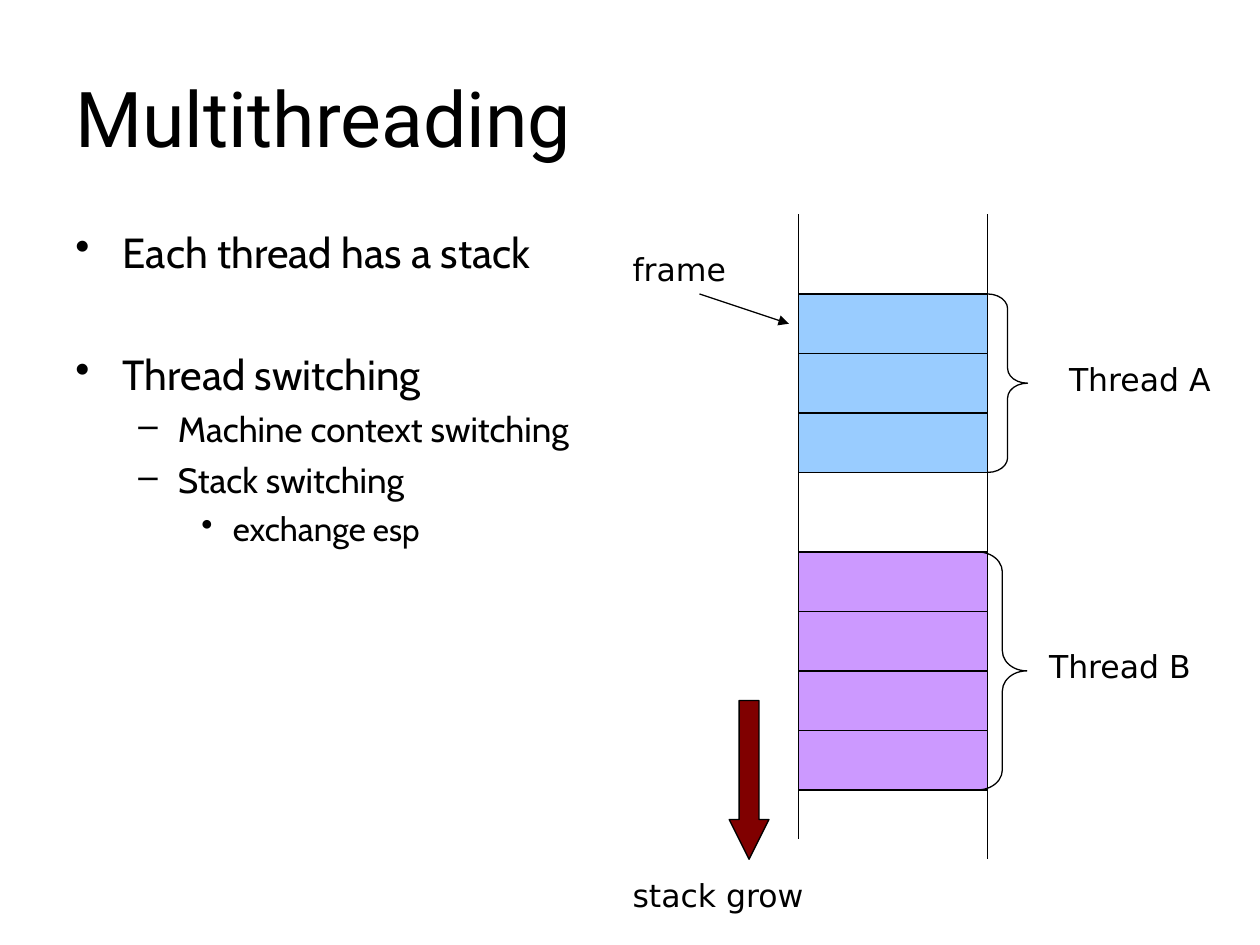
from dataclasses import dataclass

from lxml import etree
from pptx import Presentation
from pptx.dml.color import RGBColor
from pptx.enum import shapes, text
from pptx.oxml import ns
from pptx.util import Pt

BLACK = "000000"
STACK_LEFT, STACK_WIDTH, FRAME_HEIGHT = 456.4, 108, 34
STACK_RIGHT = STACK_LEFT + STACK_WIDTH


@dataclass
class Thread:
    top: float
    frames: int
    color: str
    brace_left: float
    brace_width: float
    brace_curve: float


@dataclass
class Label:
    wording: str
    left: float
    top: float
    width: float


@dataclass
class Bullet:
    runs: list[tuple[str, float]]
    level: int
    before: float


@dataclass
class BulletStyle:
    mark: str
    margin: float
    hanging: float


THREADS = [
    Thread(168, 3, "99CCFF", STACK_RIGHT, 22.8, 0.37),
    Thread(315.4, 4, "CC99FF", 558.8, 28, 0.41),
]
LABELS = [
    Label("frame", 354.4, 139.6, 79),
    Label("Thread A", 603.8, 202, 102.5),
    Label("Thread B", 592.4, 366.4, 102.5),
    Label("stack grow", 354.4, 496.8, 215),
]
BULLET_STYLES = [
    BulletStyle("•", 27, 27),
    BulletStyle("–", 58.5, 22.5),
    BulletStyle("•", 90, 18),
]
BULLETS = [
    Bullet([("Each thread has a stack", 24)], 0, 6),
    Bullet([("Thread switching", 24)], 0, 41),
    Bullet([("Machine context switching", 20)], 1, 5),
    Bullet([("Stack switching", 20)], 1, 5),
    Bullet([("exchange", 19), (" esp", 18)], 2, 4.5),
]


def paint(color_format, color: str) -> None:
    color_format.rgb = RGBColor.from_string(color)


def set_font(font, name: str, size: float) -> None:
    font.name, font.size = name, Pt(size)
    paint(font.color, BLACK)


def set_outline(line) -> None:
    line.fill.solid()
    paint(line.fill.fore_color, BLACK)
    line.width = Pt(0.75)


def add_block(slide, kind, left: float, top: float, width: float,
              height: float, fill: str | None = None):
    block = slide.shapes.add_shape(kind, Pt(left), Pt(top), Pt(width), Pt(height))
    block.shadow.inherit = False
    if fill:
        block.fill.solid()
        paint(block.fill.fore_color, fill)
    else:
        block.fill.background()
    set_outline(block.line)
    return block


def add_line(slide, x1: float, y1: float, x2: float, y2: float,
             arrow: bool = False) -> None:
    line = slide.shapes.add_connector(
        shapes.MSO_CONNECTOR.STRAIGHT, Pt(x1), Pt(y1), Pt(x2), Pt(y2))
    set_outline(line.line)
    if arrow:
        etree.SubElement(line.line._get_or_add_ln(), ns.qn("a:tailEnd"), type="triangle")
    etree.SubElement(line._element.spPr, ns.qn("a:effectLst"))


def add_text_frame(slide, left: float, top: float, width: float, height: float):
    frame = slide.shapes.add_textbox(Pt(left), Pt(top), Pt(width), Pt(height)).text_frame
    frame.word_wrap = True
    return frame


def add_label(slide, label: Label) -> None:
    frame = add_text_frame(slide, label.left, label.top, label.width, 28.8)
    frame.auto_size = text.MSO_AUTO_SIZE.SHAPE_TO_FIT_TEXT
    paragraph = frame.paragraphs[0]
    paragraph.text = label.wording
    paragraph.space_before = Pt(11.2)
    set_font(paragraph.font, "DejaVu Sans", 18)


def write_bullet(paragraph, bullet: Bullet) -> None:
    style = BULLET_STYLES[bullet.level]
    paragraph.level = bullet.level
    paragraph.space_before = Pt(bullet.before)
    for wording, size in bullet.runs:
        run = paragraph.add_run()
        run.text = wording
        set_font(run.font, "Cabin", size)
    properties = paragraph._p.get_or_add_pPr()
    properties.set("marL", str(Pt(style.margin)))
    properties.set("indent", str(-Pt(style.hanging)))
    mark_color = etree.SubElement(properties, ns.qn("a:buClr"))
    etree.SubElement(mark_color, ns.qn("a:srgbClr"), val=BLACK)
    etree.SubElement(properties, ns.qn("a:buChar"), char=style.mark)


def add_thread(slide, thread: Thread) -> None:
    for index in range(thread.frames):
        add_block(slide, shapes.MSO_SHAPE.RECTANGLE, STACK_LEFT,
                  thread.top + index * FRAME_HEIGHT, STACK_WIDTH, FRAME_HEIGHT,
                  thread.color)
    brace = add_block(slide, shapes.MSO_SHAPE.RIGHT_BRACE, thread.brace_left, thread.top,
                      thread.brace_width, thread.frames * FRAME_HEIGHT)
    brace.adjustments[0] = thread.brace_curve


def main() -> None:
    deck = Presentation()
    deck.slide_width, deck.slide_height = Pt(720), Pt(540)
    slide = deck.slides.add_slide(deck.slide_layouts[6])

    # Title
    title = add_text_frame(slide, 36, 21.6, 648, 90)
    title.vertical_anchor = text.MSO_ANCHOR.MIDDLE
    title.text = "Multithreading"
    set_font(title.paragraphs[0].font, "Roboto", 44)

    # Bullet list
    body = add_text_frame(slide, 36, 126, 301.7, 356.4)
    for index, bullet in enumerate(BULLETS):
        write_bullet(body.add_paragraph() if index else body.paragraphs[0], bullet)

    # Stack walls and the frames of each thread
    add_line(slide, STACK_LEFT, 122.4, STACK_LEFT, 479.5)
    add_line(slide, STACK_RIGHT, 122.4, STACK_RIGHT, 491)
    for thread in THREADS:
        add_thread(slide, thread)

    # Growth direction, frame pointer and labels
    growth = add_block(slide, shapes.MSO_SHAPE.DOWN_ARROW, 416.7, 400.3, 22.7, 90.7, "800000")
    growth.adjustments[0], growth.adjustments[1] = 0.5, 1
    add_line(slide, 399.7, 168, 450.8, 185, arrow=True)
    for label in LABELS:
        add_label(slide, label)

    deck.save("out.pptx")


if __name__ == "__main__":
    main()
